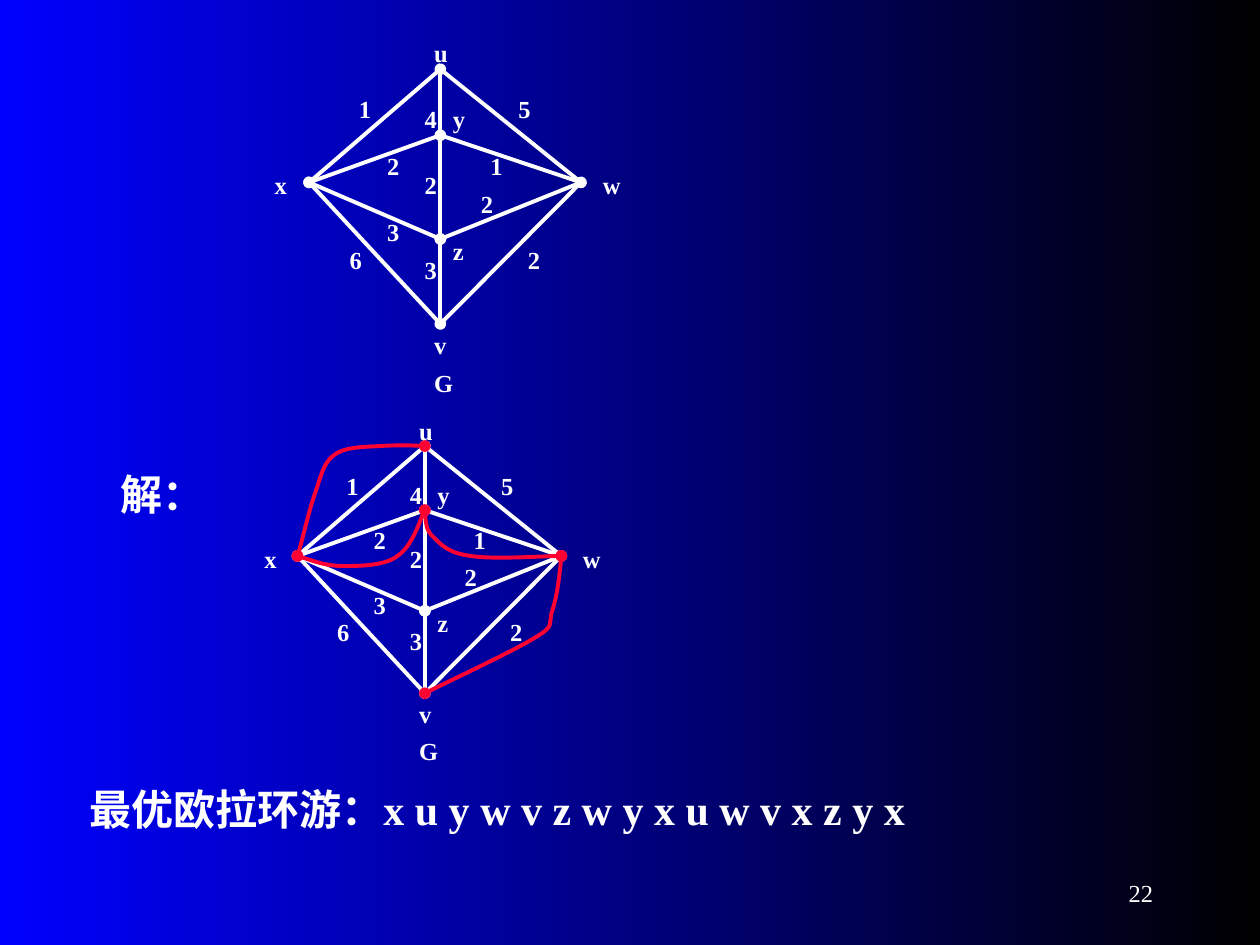
from lxml import etree
from pptx import Presentation
from pptx.dml.color import RGBColor
from pptx.enum.shapes import MSO_CONNECTOR
from pptx.enum.text import MSO_ANCHOR, MSO_AUTO_SIZE, PP_ALIGN
from pptx.oxml.ns import qn
from pptx.util import Pt

STRAIGHT = MSO_CONNECTOR.STRAIGHT
MIDDLE = MSO_ANCHOR.MIDDLE
GROW = MSO_AUTO_SIZE.SHAPE_TO_FIT_TEXT
RIGHT = PP_ALIGN.RIGHT

WHITE = RGBColor(0xFF, 0xFF, 0xFF)
RED = RGBColor(0xFF, 0x00, 0x33)
BLUE = RGBColor(0x00, 0x00, 0xFF)
BLACK = RGBColor(0x00, 0x00, 0x00)

# Vertices, edges and labels as (column, row) on a fine grid
VERTICES = {"u": (19, 4), "y": (19, 11), "x": (5, 16), "w": (34, 16),
            "z": (19, 22), "v": (19, 31)}
EDGES = ["xz", "ux", "uy", "xy", "yz", "zv", "xv", "uw", "yw", "wz", "wv"]
DOTTED_EDGES = ["ux", "yz", "xv", "wz"]
LABELS = [
    ("y", 19, 7), ("2", 27, 22), ("2", 22, 16), ("2", 16, 14), ("2", 12, 12),
    ("1", 23, 12), ("1", 9, 6), ("u", 17, 0), ("4", 16, 7), ("3", 12, 19),
    ("3", 16, 23), ("6", 8, 22), ("5", 26, 6), ("w", 35, 14), ("x", 0, 14),
    ("v", 17, 31), ("G", 17, 35), ("z", 19, 21),
]
# Doubled edges: a start, then two control points and an end per segment
DOUBLED_EDGES = [
    [(19, 4), (17.3, 3.9), (15.7, 3.9), (14, 4), (12.3, 4.1), (10.1, 4.1), (9, 5),
     (7.9, 5.8), (7.6, 7.2), (7, 9), (6.3, 10.9), (5.4, 14.9), (5, 16)],
    [(5, 16), (6.6, 16.5), (8.2, 17.1), (10, 17.1), (11.8, 17.1), (14.6, 17.1),
     (16, 16), (17.5, 15), (18.6, 11.8), (19, 11)],
    [(19, 11), (19.1, 12.1), (19.1, 13.2), (20, 14), (20.9, 14.9), (21.7, 15.7),
     (24, 16), (26.3, 16.4), (32.4, 16), (34, 16)],
    [(34, 16), (33.8, 18.3), (33.5, 20.5), (33, 22), (32.5, 23.6), (33.4, 23.6),
     (31, 25), (28.7, 26.4), (21, 30), (19, 31)],
]
# Left, top, column step, row step, doubled edges
GRAPHS = [
    (149.8, 18, 5.36, 5.39, []),
    (144, 234, 5.2, 5.23, DOUBLED_EDGES),
]


def add_text(shapes, text, left, top, width, height, size, bold=True):
    box = shapes.add_textbox(Pt(left), Pt(top), Pt(width), Pt(height))
    box.text_frame.word_wrap = True
    para = box.text_frame.paragraphs[0]
    para.text = text
    para.font.name = "Times New Roman"
    para.font.size = Pt(size)
    para.font.bold = bold
    para.font.color.rgb = WHITE
    return box


def style_line(shape, color, dotted):
    shape.line.color.rgb = color
    shape.line.width = Pt(2.25)
    if dotted:
        for end in ("a:headEnd", "a:tailEnd"):
            etree.SubElement(shape.get_or_add_ln(), qn(end), type="oval")


deck = Presentation()
deck.slide_width, deck.slide_height = Pt(720), Pt(540)
page = deck.slides.add_slide(deck.slide_layouts[6])

# Background
fill = page.background.fill
fill.gradient()
fill.gradient_angle = 0
for stop, color, position in zip(fill.gradient_stops, (BLUE, BLACK), (0, 1)):
    stop.color.rgb = color
    stop.position = position

# Slide number
number = add_text(page.shapes, "22", 516, 492, 150, 36, 14, bold=False)
number.text_frame.vertical_anchor = MIDDLE
number.text_frame.paragraphs[0].alignment = RIGHT

# Headings
for text, left, top in [("解：", 30, 264),
                        ("最优欧拉环游：x u y w v z w y x u w v x z y x", 12, 444)]:
    box = add_text(page.shapes, text, left, top, 624, 36, 24)
    box.text_frame.auto_size = GROW
    box.text_frame.paragraphs[0]._p.get_or_add_pPr().set("indent", str(Pt(32)))

# Weighted graphs
for left, top, column_step, row_step, doubled_edges in GRAPHS:
    graph = page.shapes.add_group_shape().shapes

    for edge in EDGES:
        (start_x, start_y), (end_x, end_y) = [VERTICES[name] for name in edge]
        line = graph.add_connector(
            STRAIGHT,
            Pt(left + start_x * column_step), Pt(top + start_y * row_step),
            Pt(left + end_x * column_step), Pt(top + end_y * row_step))
        style_line(line, WHITE, edge in DOTTED_EDGES)
        etree.SubElement(line._element.spPr, qn("a:effectLst"))

    for text, column, row in LABELS:
        columns_wide = 5 if text == "G" else 4.15
        label = add_text(graph, text, left + column * column_step,
                         top + row * row_step, columns_wide * column_step, 24.5, 14)
        label.text_frame.auto_size = GROW

    for curve in doubled_edges:
        points = [(Pt(left + column * column_step), Pt(top + row * row_step))
                  for column, row in curve]
        builder = graph.build_freeform(*points[0])
        builder.add_line_segments(points[1:], close=False)
        arc = builder.convert_to_shape()
        arc.shadow.inherit = False
        arc.fill.background()
        style_line(arc, RED, True)
        # Turn every three straight segments into one Bézier segment
        outline = arc._element.find(".//" + qn("a:path"))
        segments = outline.findall(qn("a:lnTo"))
        for first in range(0, len(segments), 3):
            bezier = etree.SubElement(outline, qn("a:cubicBezTo"))
            for segment in segments[first:first + 3]:
                bezier.append(segment[0])
                outline.remove(segment)

deck.save("out.pptx")
